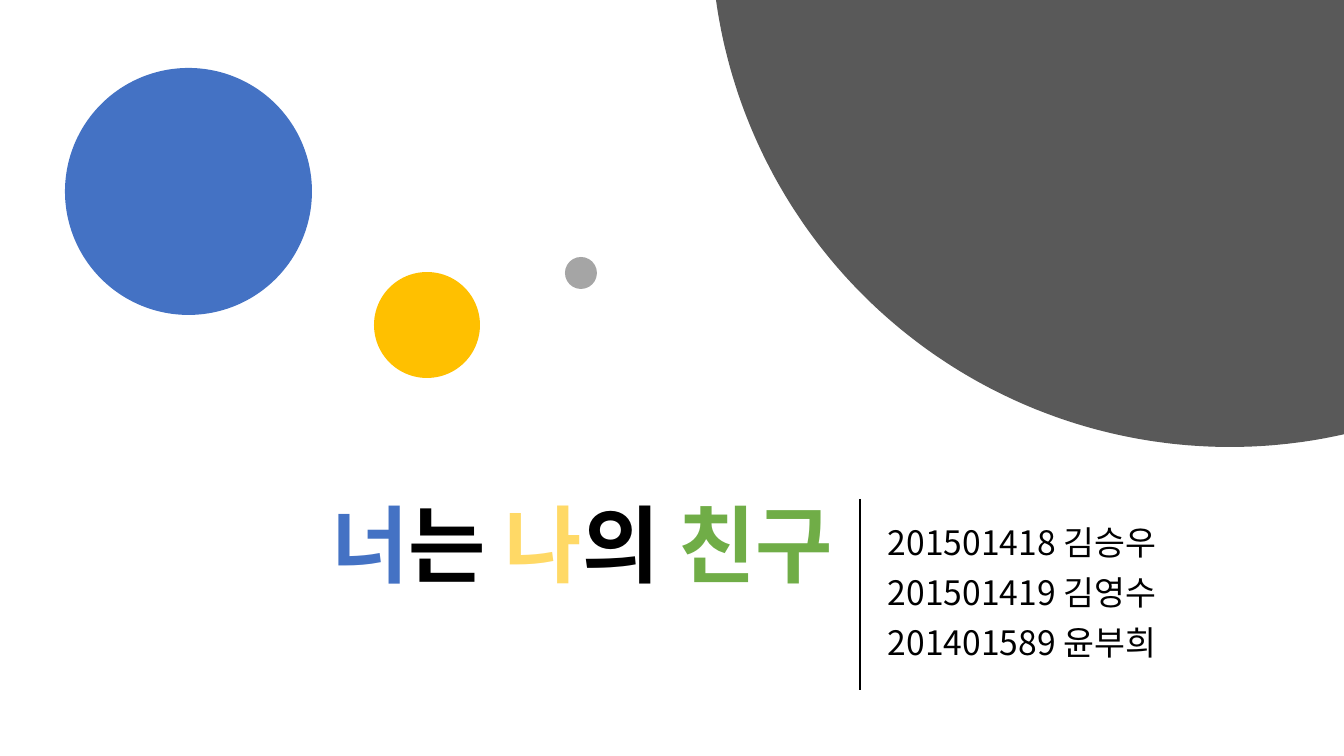
from math import acos, asin, cos, pi, sin

from lxml import etree
from pptx import Presentation
from pptx.dml.color import RGBColor
from pptx.enum.shapes import MSO_CONNECTOR, MSO_SHAPE
from pptx.enum.text import MSO_ANCHOR, PP_ALIGN
from pptx.oxml.ns import qn
from pptx.util import Pt

TOP, MIDDLE = MSO_ANCHOR.TOP, MSO_ANCHOR.MIDDLE
LEFT, RIGHT = PP_ALIGN.LEFT, PP_ALIGN.RIGHT
OVAL, STRAIGHT = MSO_SHAPE.OVAL, MSO_CONNECTOR.STRAIGHT

# Content: each line of text is a list of (words, colour)
FONT = "Noto Sans CJK KR"
BLACK = "000000"
TITLE = [[("너", "4472C4"), ("는 ", BLACK), ("나", "FFD966"), ("의 ", BLACK), ("친구", "70AD47")]]
MEMBERS = [[("201501418 김승우", BLACK)], [("201501419 김영수", BLACK)], [("201401589 윤부희", BLACK)]]

# Layout in px
WIDTH, HEIGHT = 1344, 756
BAND_TOP, BAND_HEIGHT = 499, 191
DIVIDER_X = 860
DOTS = [(65, 68, 247, "4472C4"), (374, 272, 106, "FFC000"), (565, 257, 32, "A5A5A5")]
DISC_X, DISC_Y, DISC_RADIUS, DISC_COLOR = 1230, -72, 519, "595959"
ARC_STEPS = 120


def px(length):
    return round(length * 914400 / 100.8)


def rgb(color):
    return RGBColor.from_string(color)


def paint(shape, color):
    shape.shadow.inherit = False
    shape.fill.solid()
    shape.fill.fore_color.rgb = rgb(color)
    shape.line.fill.background()


def add_text(slide, lines, x, width, size, bold=False, align=LEFT, anchor=MIDDLE, before=0):
    box = slide.shapes.add_textbox(px(x), px(BAND_TOP), px(width), px(BAND_HEIGHT))
    frame = box.text_frame
    frame.word_wrap = True
    frame.vertical_anchor = anchor
    for index, line in enumerate(lines):
        paragraph = frame.add_paragraph() if index else frame.paragraphs[0]
        paragraph.alignment = align
        paragraph.line_spacing = 0.9
        paragraph.space_before = Pt(before)
        for words, color in line:
            run = paragraph.add_run()
            run.text = words
            run.font.name = FONT
            run.font.size = Pt(size)
            run.font.bold = bold
            run.font.color.rgb = rgb(color)
            east_asian = etree.SubElement(run.font._element, qn("a:ea"))
            east_asian.set("typeface", FONT)


def add_disc(slide):
    # The part of the large circle that lies inside the slide
    start = acos((WIDTH - DISC_X) / DISC_RADIUS)
    end = pi - asin(-DISC_Y / DISC_RADIUS)
    angles = [start + (end - start) * step / ARC_STEPS for step in range(ARC_STEPS + 1)]
    arc = [(px(DISC_X + DISC_RADIUS * cos(a)), px(DISC_Y + DISC_RADIUS * sin(a))) for a in angles]
    builder = slide.shapes.build_freeform(px(WIDTH), 0)
    builder.add_line_segments(arc, close=True)
    paint(builder.convert_to_shape(), DISC_COLOR)


def main():
    deck = Presentation()
    deck.slide_width, deck.slide_height = px(WIDTH), px(HEIGHT)
    slide = deck.slides.add_slide(deck.slide_layouts[6])

    # Title and members
    add_text(slide, TITLE, 93, 750, 60, bold=True, align=RIGHT, anchor=TOP)
    add_text(slide, MEMBERS, 878, 359, 24, before=10)

    # Circles
    for x, y, diameter, color in DOTS:
        paint(slide.shapes.add_shape(OVAL, px(x), px(y), px(diameter), px(diameter)), color)
    add_disc(slide)

    # Divider
    divider = slide.shapes.add_connector(
        STRAIGHT, px(DIVIDER_X), px(BAND_TOP), px(DIVIDER_X), px(BAND_TOP + BAND_HEIGHT))
    divider.line.color.rgb = rgb(BLACK)
    divider.line.width = Pt(1.5)
    etree.SubElement(divider._element.spPr, qn("a:effectLst"))

    deck.save("out.pptx")


if __name__ == "__main__":
    main()
